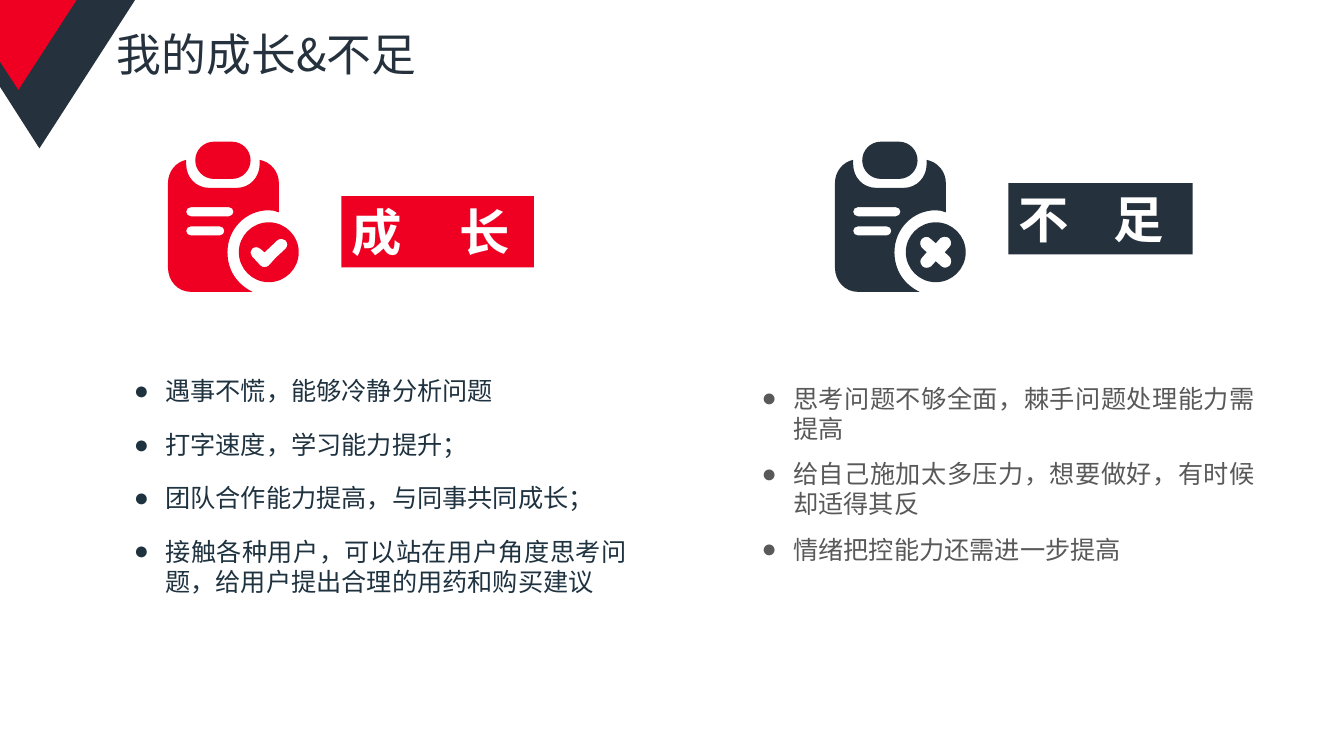
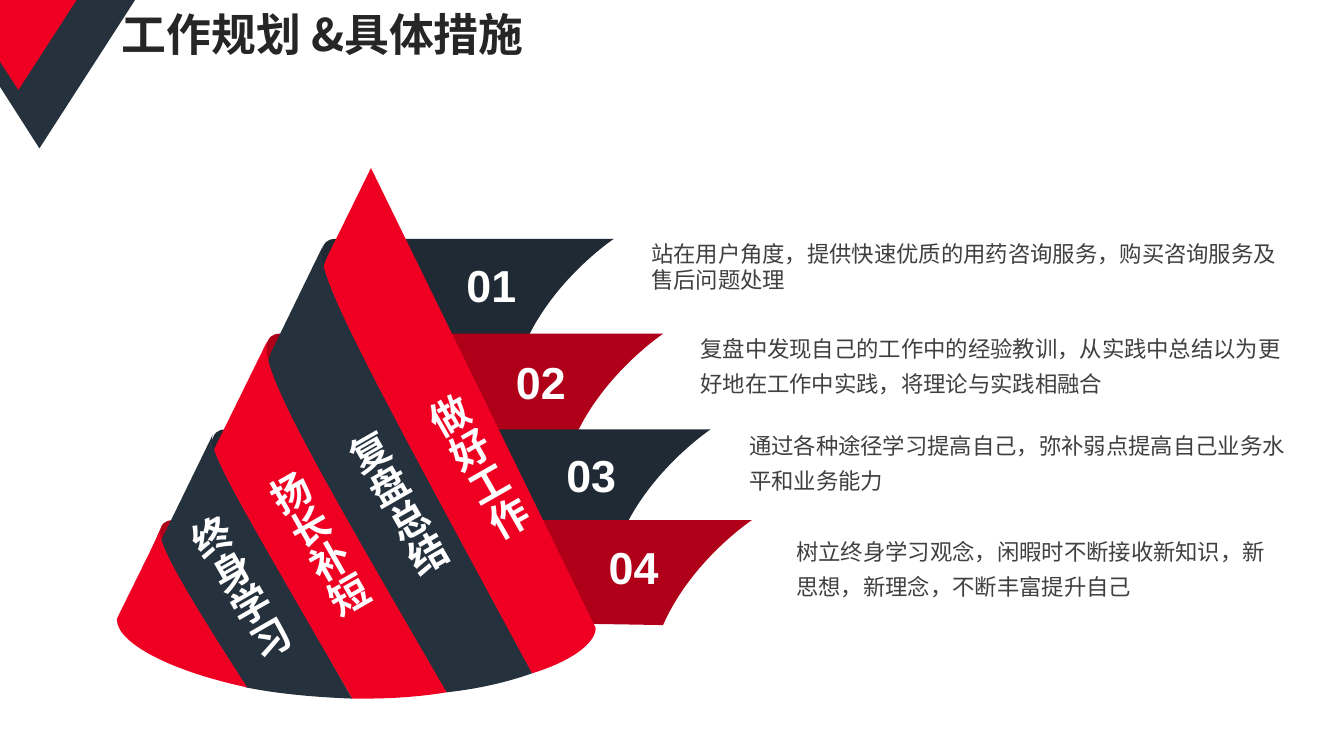
"""Build two slides: growth and shortcomings, then the work plan with its measures."""
from pptx import Presentation
from pptx.dml.color import RGBColor
from pptx.enum.shapes import MSO_SHAPE
from pptx.enum.text import MSO_ANCHOR, MSO_AUTO_SIZE, PP_ALIGN
from pptx.oxml.ns import qn
from pptx.util import Pt

RECT = MSO_SHAPE.RECTANGLE
LEFT, CENTER, JUSTIFY = PP_ALIGN.LEFT, PP_ALIGN.CENTER, PP_ALIGN.JUSTIFY
TOP, MIDDLE = MSO_ANCHOR.TOP, MSO_ANCHOR.MIDDLE
FIT_SHAPE = MSO_AUTO_SIZE.SHAPE_TO_FIT_TEXT

RED = RGBColor(0xEF, 0x00, 0x23)
NAVY = RGBColor(0x25, 0x31, 0x3D)
DARK_RED = RGBColor(0xB0, 0x00, 0x19)
DARK_NAVY = RGBColor(0x20, 0x2A, 0x34)
WHITE = RGBColor(0xFF, 0xFF, 0xFF)
INK = RGBColor(0x1F, 0x32, 0x40)
GREY = RGBColor(0x59, 0x59, 0x59)
TEXT_GREY = RGBColor(0x40, 0x40, 0x40)
BLACK = RGBColor(0x26, 0x26, 0x26)
BODY_FONT, TITLE_FONT = "Arial", "Noto Sans CJK JP"
UNITS_PER_POINT = 100

BOARD = [
    (65.5, 13), (65.5, 14, 65.5, 15, 65.5, 16), (65.5, 25.5, 58.5, 33, 49, 33), (29.5, 33),
    (20, 33, 13, 25.5, 13, 16), (13, 13), (5.5, 14.5, 0, 21.5, 0, 29.5), (0, 90),
    (0, 99.5, 7, 107.3, 16.5, 107.3), (60.5, 107.3), (49.5, 102, 42.5, 92, 42.5, 79),
    (42.5, 62.5, 55.5, 49, 72, 49), (74.5, 49, 77, 49.5, 79.2, 50.5), (79.2, 29.5),
    (79.2, 21.5, 73.5, 14.5, 65.5, 13)]
TICK = [
    (84, 76.5), (77, 83), (72, 88.5), (70.5, 90, 67.5, 90, 66, 88.5), (60, 82),
    (58.5, 80.5, 58.5, 78, 60, 76.5), (62, 75, 64, 75, 66, 76.5), (69, 79), (78, 70.5),
    (80, 69, 82.5, 69, 84, 70.5), (85.7, 72.5, 85.7, 74.5, 84, 76.5)]
CROSS_ARM = [(0, -6.5), (3.2, -10), (5, -11.5, 8, -11.5, 9.6, -10),
             (11.5, -8, 11.5, -5, 9.6, -3.5)]
BADGE_CENTER = (72, 79)

GROWTH = ["遇事不慌，能够冷静分析问题", "打字速度，学习能力提升；", "团队合作能力提高，与同事共同成长；",
          "接触各种用户，可以站在用户角度思考问题，给用户提出合理的用药和购买建议"]
SHORTCOMINGS = ["思考问题不够全面，棘手问题处理能力需提高",
                "给自己施加太多压力，想要做好，有时候却适得其反", "情绪把控能力还需进一步提高"]

RIBBONS = [(239.8, 170.6, 438.5, 103.5), (200.2, 238.3, 473.8, 103.5),
           (161.3, 306.7, 507.6, 103.5), (123.8, 371.5, 537.1, 68.5)]
NUMBERS = [(351, 180.7), (386.4, 249.8), (422.3, 316), (452.6, 382.3)]
MEASURES = [
    (458, 167.7, 1, ["站在用户角度，提供快速优质的用药咨询服务，购买咨询服务及", "售后问题处理"]),
    (493.2, 230.2, 1.3, ["复盘中发现自己的工作中的经验教训，从实践中总结以为更",
                         "好地在工作中实践，将理论与实践相融合"]),
    (528, 299.5, 1.3, ["通过各种途径学习提高自己，弥补弱点提高自己业务水", "平和业务能力"]),
    (561.7, 375, 1.3, ["树立终身学习观念，闲暇时不断接收新知识，新", "思想，新理念，不断丰富提升自己"]),
]
STRIPES = [
    [(425.5, 448.5), (265, 120), (234, 183), (227, 197.5, 211.5, 242.5, 380, 481),
     (407.5, 472.5, 425, 460, 425.5, 449)],
    [(194.5, 250), (170, 296.5, 259, 412.5, 319, 494.5), (342.5, 492, 363, 487, 380, 481),
     (258, 255, 222.5, 191.5, 231, 175)],
    [(150, 327), (175, 379.5, 212.5, 430.5, 251.5, 499), (254, 499, 257.5, 499, 260.5, 499),
     (281, 499, 301.5, 497.5, 319, 494.5), (221, 325.5, 184.5, 261.5, 191, 243.5)],
    [(112.5, 391.5), (130.5, 425.5, 154, 453, 175.5, 491), (198, 495.5, 224, 498, 251.5, 499),
     (168, 354, 147.5, 321, 152, 310.5)],
    [(83.5, 442), (83.5, 443.5), (85, 460, 122.5, 479.5, 176.5, 491),
     (122.5, 407.5, 111.5, 384, 115, 378)],
]
STRIPE_LABELS = [(312.5, 273.5, "做好工作"), (255, 299, "复盘总结"),
                 (198.5, 328.5, "扬长补短"), (142.5, 359.5, "终身学习")]


def paint(shape, color):
    shape.shadow.inherit = False
    shape.fill.solid()
    shape.fill.fore_color.rgb = color
    shape.line.fill.background()
    return shape


def pairs(numbers):
    return list(zip(numbers[::2], numbers[1::2]))


def add_outline(slide, contours, color, left=0, top=0):
    """Draw closed contours; pairs are corners, sextuples are cubic curves."""
    def place(point):
        return (left + point[0]) * UNITS_PER_POINT, (top + point[1]) * UNITS_PER_POINT

    builder = slide.shapes.build_freeform(*place(contours[0][0]), scale=Pt(1) / UNITS_PER_POINT)
    for index, contour in enumerate(contours):
        if index:
            builder.move_to(*place(contour[0]))
        builder.add_line_segments(
            [place(point) for segment in contour[1:] for point in pairs(segment)], close=True)
    shape = paint(builder.convert_to_shape(), color)
    bend_curves(shape, [segment for contour in contours for segment in contour[1:]])


def bend_curves(shape, segments):
    """Join the three lines of every curve segment into one cubic curve."""
    lines = iter(list(shape._element.iter(qn("a:lnTo"))))
    for segment in segments:
        first = next(lines)
        if len(segment) == 6:
            first.tag = qn("a:cubicBezTo")
            for line in (next(lines), next(lines)):
                first.append(line[0])
                line.getparent().remove(line)


def rounded_contour(left, top, right, bottom):
    """Return a box whose ends or corners are rounded by half its height."""
    r = (bottom - top) / 2
    k = 0.45 * r
    middle = top + r
    return [
        (left + r, top), (right - r, top), (right - k, top, right, top + k, right, middle),
        (right, bottom - k, right - k, bottom, right - r, bottom), (left + r, bottom),
        (left + k, bottom, left, bottom - k, left, middle),
        (left, top + k, left + k, top, left + r, top)]


def cross_contour():
    """Turn one arm around the badge centre in four quarter turns."""
    cx, cy = BADGE_CENTER
    arm, contour = CROSS_ARM, []
    for _ in range(4):
        contour += [tuple(n for x, y in pairs(segment) for n in (cx + x, cy + y))
                    for segment in arm]
        arm = [tuple(n for x, y in pairs(segment) for n in (-y, x)) for segment in arm]
    return contour


def add_clipboard(slide, left, top, color, mark):
    contours = [BOARD, mark] + [rounded_contour(*box) for box in (
        (19.5, 0, 59, 26.6), (50.6, 57.6, 93.4, 100.4),
        (13, 46.8, 46.8, 53.3), (13, 60.5, 40.3, 67))]
    add_outline(slide, contours, color, left, top)


def style_paragraph(paragraph, size, color, bold=False, font=BODY_FONT, align=LEFT, spacing=None):
    paragraph.alignment = align
    paragraph.line_spacing = spacing
    paragraph.font.name, paragraph.font.size = font, Pt(size)
    paragraph.font.bold = bold
    paragraph.font.color.rgb = color


def add_text(slide, left, top, width, height, lines, size, color, anchor=TOP, **style):
    box = slide.shapes.add_textbox(Pt(left), Pt(top), Pt(width), Pt(height))
    frame = box.text_frame
    frame.word_wrap = True
    frame.vertical_anchor = anchor
    frame.text = "\n".join(lines)
    for paragraph in frame.paragraphs:
        style_paragraph(paragraph, size, color, **style)
    return box


def add_bullets(slide, left, top, items, gap, color):
    box = add_text(slide, left, top, 366.5, 160, items, 18, color, align=JUSTIFY)
    for index, paragraph in enumerate(box.text_frame.paragraphs):
        paragraph.space_before = Pt(gap if index else 0)
        properties = paragraph._p.get_or_add_pPr()
        properties.set("marL", str(Pt(22.5)))
        properties.set("indent", str(-Pt(22.5)))
        defaults = properties.find(qn("a:defRPr"))
        for tag, name, value in (("a:buFont", "typeface", BODY_FONT), ("a:buChar", "char", "●")):
            defaults.addprevious(properties.makeelement(qn(tag), {name: value}))


def add_heading(slide, left, top, width, text, spread, color):
    shape = slide.shapes.add_shape(RECT, Pt(left), Pt(top), Pt(width), Pt(51))
    frame = paint(shape, color).text_frame
    frame.word_wrap = False
    paragraph = frame.paragraphs[0]
    style_paragraph(paragraph, 36, WHITE, bold=True)
    first, last = paragraph.add_run(), paragraph.add_run()
    first.text, last.text = text[0] + " ", text[1]
    first._r.get_or_add_rPr().set("spc", str(int(spread * 100)))


def add_ribbon(slide, left, top, tip, drop, color):
    fold = left - 8.5
    add_outline(slide, [[
        (fold, top + 4.5), (fold - 0.43 * (drop - 4.5), top + drop), (tip - 63.5, top + 75),
        (tip - 43, top + 28.5, tip, top, tip, top), (left, top),
        (left - 7, top, fold, top + 4.5, fold, top + 4.5)]], color)


def add_stripe_label(slide, left, top, text):
    label = add_text(slide, left, top, 48.5, 120, [text], 28, WHITE, bold=True)
    label.rotation = 330.2
    label.text_frame.word_wrap = False
    label.text_frame.auto_size = FIT_SHAPE
    label.text_frame._txBody.bodyPr.set("vert", "eaVert")


def new_slide(deck, title, left, top, color, bold=False):
    slide = deck.slides.add_slide(deck.slide_layouts[6])
    add_outline(slide, [[(28.2, 106), (96.5, 0), (0, 0), (0, 62)]], NAVY)
    add_outline(slide, [[(0, 44), (13.2, 64.2), (54.7, 0), (0, 0)]], RED)
    add_text(slide, left, top, 618, 51, [title], 32, color, MIDDLE,
             bold=bold, font=TITLE_FONT, spacing=0.9)
    return slide


def build_review(deck):
    slide = new_slide(deck, "我的成长&不足", 76.5, 15, NAVY)
    add_clipboard(slide, 120, 101.2, RED, TICK)
    add_heading(slide, 243.8, 140, 137.5, "成长", 16.5, RED)
    add_bullets(slide, 88.5, 264.8, GROWTH, 16.6, INK)
    add_clipboard(slide, 596.4, 101.2, NAVY, cross_contour())
    add_heading(slide, 720.3, 130.8, 131.7, "不足", 12, NAVY)
    add_bullets(slide, 537, 270, SHORTCOMINGS, 10.8, GREY)


def build_plan(deck):
    slide = new_slide(deck, "工作规划 &具体措施", 79.8, 1.2, BLACK, bold=True)
    for index, ribbon in enumerate(RIBBONS):
        add_ribbon(slide, *ribbon, (DARK_NAVY, DARK_RED)[index % 2])
    for index, stripe in enumerate(STRIPES):
        add_outline(slide, [stripe], (RED, NAVY)[index % 2])
    for label in STRIPE_LABELS:
        add_stripe_label(slide, *label)
    for number, (center, top) in enumerate(NUMBERS, 1):
        add_text(slide, center - 33, top, 66, 46, [f"{number:02}"], 32, WHITE,
                 bold=True, align=CENTER)
    for left, top, spacing, lines in MEASURES:
        add_text(slide, left, top, 955 - left, 55, lines, 16, TEXT_GREY, spacing=spacing)


def main():
    deck = Presentation()
    deck.slide_width, deck.slide_height = Pt(960), Pt(540)
    build_review(deck)
    build_plan(deck)
    deck.save("out.pptx")


if __name__ == "__main__":
    main()
